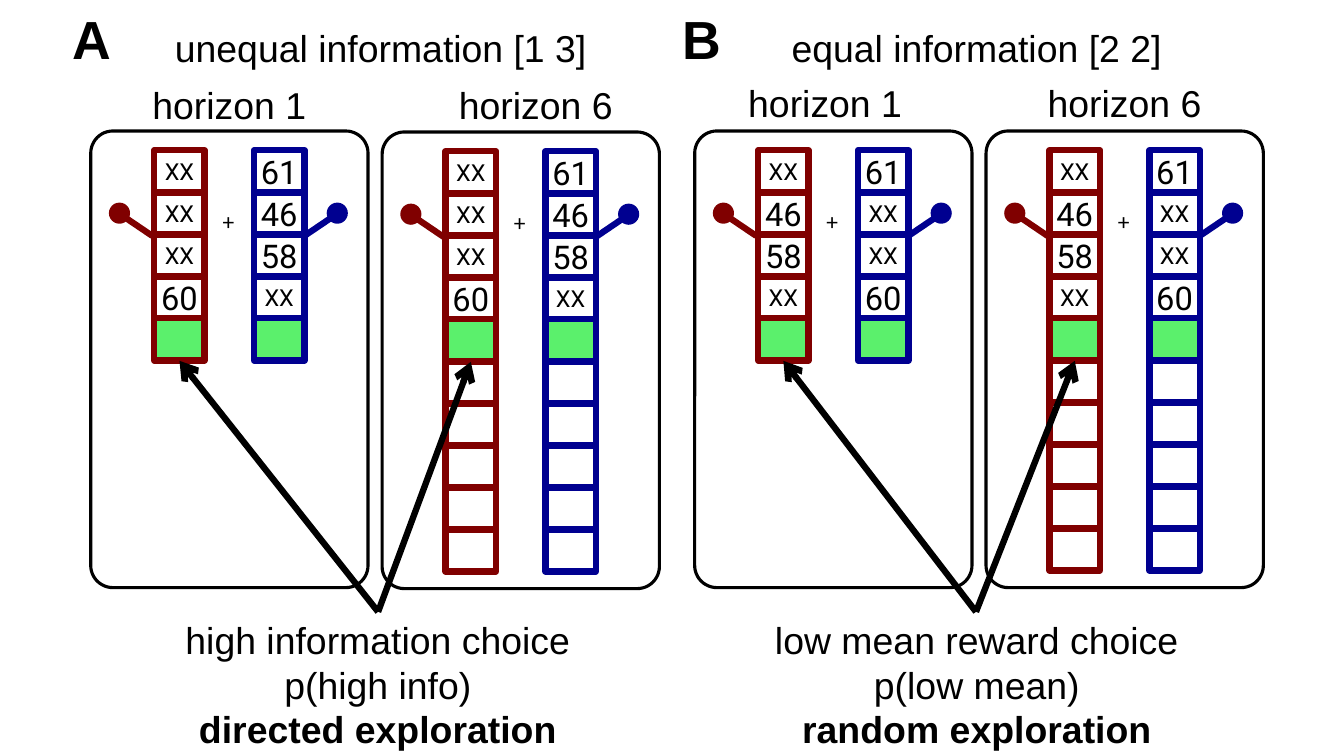
from lxml.etree import SubElement
from pptx import Presentation
from pptx.dml.color import RGBColor
from pptx.enum.shapes import MSO_CONNECTOR, MSO_SHAPE
from pptx.enum.text import MSO_ANCHOR, PP_ALIGN
from pptx.oxml.ns import qn
from pptx.util import Inches, Pt

BLACK, RED, BLUE, GREEN = "000000", "800000", "000090", "5BF06C"
CELL_WIDTH, CELL_HEIGHT = 0.5, 0.42
ROW_PITCH = 3.75 / 9
MACHINE_WIDTH, MACHINE_HEIGHT, MACHINE_PITCH = 2.75, 4.53, 2.89
CHOICE_ROW = 4
HIDDEN = "XX"


def color(hex_string):
    return RGBColor.from_string(hex_string)


def write(frame, text, size=26.7, font="Arial", align=PP_ALIGN.CENTER,
          anchor=MSO_ANCHOR.TOP, wrap=True, bold_lines=()):
    frame.word_wrap = wrap
    frame.vertical_anchor = anchor
    for index, line in enumerate(text.split("\n")):
        paragraph = frame.paragraphs[0] if index == 0 else frame.add_paragraph()
        paragraph.alignment = align
        run = paragraph.add_run()
        run.text = line
        run.font.size = Pt(size)
        run.font.name = font
        run.font.bold = index in bold_lines
        run.font.color.rgb = color(BLACK)


def add_label(shapes, text, left, top, width, height, **text_format):
    box = shapes.add_textbox(*map(Inches, (left, top, width, height)))
    write(box.text_frame, text, **text_format)


def add_box(shapes, kind, left, top, width, height, fill=None, line=None, line_width=4.5):
    shape = shapes.add_shape(kind, *map(Inches, (left, top, width, height)))
    shape.shadow.inherit = False
    if fill:
        shape.fill.solid()
        shape.fill.fore_color.rgb = color(fill)
    else:
        shape.fill.background()
    if line:
        shape.line.color.rgb = color(line)
        shape.line.width = Pt(line_width)
    else:
        shape.line.fill.background()
    return shape


def add_line(shapes, start, end, line, arrow=False):
    connector = shapes.add_connector(MSO_CONNECTOR.STRAIGHT, *map(Inches, (*start, *end)))
    connector.line.color.rgb = color(line)
    connector.line.width = Pt(4.5)
    if arrow:
        SubElement(connector.line._get_or_add_ln(), qn("a:tailEnd"), type="arrow")
    SubElement(connector._element.spPr, qn("a:effectLst"))


def add_bandit(shapes, left, top, values, row_count, line):
    for row in range(row_count):
        fill = GREEN if row == CHOICE_ROW else None
        cell = add_box(shapes, MSO_SHAPE.RECTANGLE, left, top + row * ROW_PITCH,
                       CELL_WIDTH, CELL_HEIGHT, fill, line)
        if row < len(values):
            write(cell.text_frame, values[row], size=16.7 if values[row] == HIDDEN else 23.3,
                  font="Roboto", anchor=MSO_ANCHOR.MIDDLE, wrap=False)


def add_machine(slide, left, top, red_values, blue_values, row_count):
    shapes = slide.shapes.add_group_shape().shapes
    add_label(shapes, "+", left + 1.2, top + 0.71, 0.33, 0.38, size=16.7, font="Calibri")
    frame = add_box(shapes, MSO_SHAPE.ROUNDED_RECTANGLE, left, top,
                    MACHINE_WIDTH, MACHINE_HEIGHT, line=BLACK, line_width=2.25)
    frame.adjustments[0] = 0.08
    for line, hinge, tip, ball, column, values in (
            (RED, 0.61, 0.3, 0.18, 0.63, red_values),
            (BLUE, 2.12, 2.43, 2.34, 1.62, blue_values)):
        add_line(shapes, (left + hinge, top + 1.04), (left + tip, top + 0.83), line)
        add_box(shapes, MSO_SHAPE.OVAL, left + ball, top + 0.71, 0.21, 0.21, fill=line)
        add_bandit(shapes, left + column, top + 0.19, values, row_count, line)


def add_condition(slide, left, top, letter, title, caption, red_values, blue_values,
                  letter_shift, title_shift, caption_shift, heading_shifts, heading_top,
                  second_drop, apex):
    shapes = slide.shapes
    add_label(shapes, letter, left + letter_shift, top + 0.01, 1.15, 0.75, size=38.3,
              align=PP_ALIGN.LEFT, bold_lines=(0,))
    add_label(shapes, title, left + title_shift, top + 0.2, 5.76, 0.55)
    arrow_ends = []
    for index, (horizon, row_count) in enumerate(((1, 5), (6, 10))):
        machine_left = left + index * MACHINE_PITCH
        machine_top = top + 1.3 + index * second_drop
        add_label(shapes, f"horizon {horizon}", left + heading_shifts[index],
                  top + heading_top, MACHINE_WIDTH, 0.55)
        add_machine(slide, machine_left, machine_top, red_values, blue_values, row_count)
        arrow_ends.append((machine_left + 0.88, machine_top + 2.28))
    add_label(shapes, caption, left + caption_shift, top + 6.07, 5.78, 1.45, bold_lines=(2,))
    for arrow_end in arrow_ends:
        add_line(shapes, (left + apex, top + 6.07), arrow_end, BLACK, arrow=True)


presentation = Presentation()
presentation.slide_width = Inches(13.33)
presentation.slide_height = Inches(7.5)
slide = presentation.slides.add_slide(presentation.slide_layouts[6])

add_condition(
    slide, 0.9, 0, "A", "unequal information [1 3]",
    "high information choice\np(high info)\ndirected exploration",
    (HIDDEN, HIDDEN, HIDDEN, "60"), ("61", "46", "58", HIDDEN),
    letter_shift=-0.28, title_shift=0, caption_shift=-0.04, heading_shifts=(0, 3.04),
    heading_top=0.77, second_drop=0.01, apex=2.85)
add_condition(
    slide, 6.89, 0, "B", "equal information [2 2]",
    "low mean reward choice\np(low mean)\nrandom exploration",
    (HIDDEN, "46", "58", HIDDEN), ("61", HIDDEN, HIDDEN, "60"),
    letter_shift=-0.22, title_shift=-0.08, caption_shift=-0.09, heading_shifts=(-0.08, 2.89),
    heading_top=0.75, second_drop=0, apex=2.79)

presentation.save("out.pptx")
